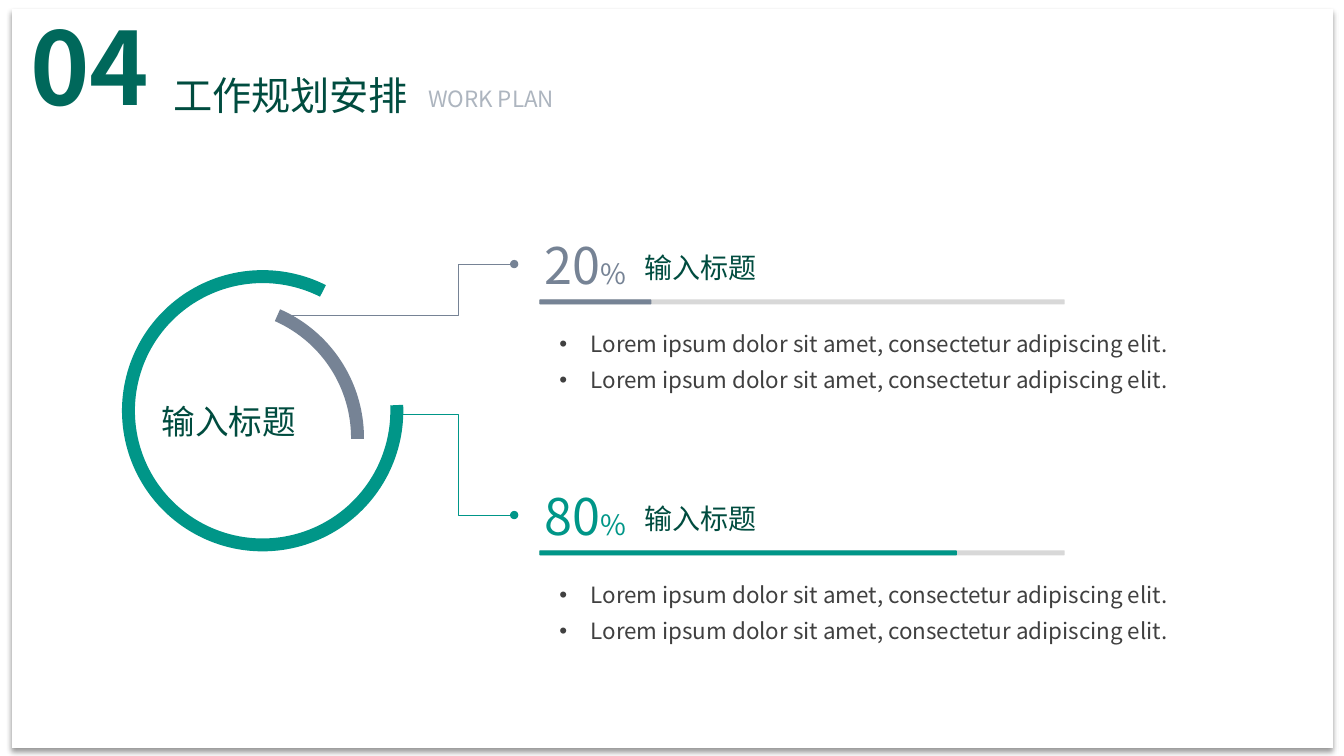
from lxml import etree
from pptx import Presentation
from pptx.dml.color import RGBColor
from pptx.enum.shapes import MSO_CONNECTOR, MSO_SHAPE
from pptx.enum.text import MSO_AUTO_SIZE, PP_ALIGN
from pptx.oxml.ns import qn
from pptx.util import Inches, Pt

RECTANGLE, BAR, ARC = MSO_SHAPE.RECTANGLE, MSO_SHAPE.ROUNDED_RECTANGLE, MSO_SHAPE.BLOCK_ARC
ELBOW = MSO_CONNECTOR.ELBOW
LEFT, CENTER = PP_ALIGN.LEFT, PP_ALIGN.CENTER
FIT_TEXT = MSO_AUTO_SIZE.SHAPE_TO_FIT_TEXT

FONT = "Noto Sans CJK SC"
GREEN, GRAY, DARK_GREEN = "009688", "768395", "004C3F"
CAPTION = "输入标题"
BULLET_TEXT = "Lorem ipsum dolor sit amet, consectetur adipiscing elit."

# Rows of the plan: percentage, colour, length of the filled bar
PLANS = [("20", GRAY, 1.11), ("80", GREEN, 4.14)]
ROW_TOP, ROW_PITCH = 2.27, 2.49
BAR_LEFT, BAR_WIDTH, BAR_HEIGHT = 5.35, 5.21, 0.05
ARC_SIZE, ARC_THICKNESS = 2.79, 0.046

presentation = Presentation()
presentation.slide_width, presentation.slide_height = Inches(13.33), Inches(7.5)
slide = presentation.slides.add_slide(presentation.slide_layouts[6])


def color(value):
    return RGBColor.from_string(value)


def add_text(box, paragraphs, alignment=LEFT, bold=False):
    """Add a text box; each paragraph is a list of (text, size, colour) runs."""
    shape = slide.shapes.add_textbox(*map(Inches, box))
    frame = shape.text_frame
    frame.word_wrap = True
    frame.auto_size = FIT_TEXT
    for index, runs in enumerate(paragraphs):
        paragraph = frame.add_paragraph() if index else frame.paragraphs[0]
        paragraph.alignment = alignment
        for text, size, value in runs:
            run = paragraph.add_run()
            run.text = text
            for name, setting in {"name": FONT, "size": Pt(size), "bold": bold}.items():
                setattr(run.font, name, setting)
            run.font.color.rgb = color(value)
            etree.SubElement(run._r.get_or_add_rPr(), qn("a:ea"), typeface=FONT)
    return frame


# Filled shapes: kind, box, fill, rotation, adjustments
filled_shapes = [
    (RECTANGLE, (0.12, 0.09, 13.1, 7.33), "FFFFFF", 0, ()),
    (ARC, (1.21, 2.68, ARC_SIZE, ARC_SIZE), GREEN, 299.2, (35.03, 214.5, ARC_THICKNESS)),
    (ARC, (0.82, 2.95, ARC_SIZE, ARC_SIZE), GRAY, 2.9, (174.54, 214.5, ARC_THICKNESS)),
]
for row, (percent, accent, length) in enumerate(PLANS):
    bar_top = ROW_TOP + row * ROW_PITCH + 0.7
    for width, fill in [(BAR_WIDTH, "D8D8D8"), (length, accent)]:
        filled_shapes.append((BAR, (BAR_LEFT, bar_top, width, BAR_HEIGHT), fill, 0, ()))

for kind, box, fill, rotation, adjustments in filled_shapes:
    shape = slide.shapes.add_shape(kind, *map(Inches, box))
    shape.shadow.inherit = False
    shape.fill.solid()
    shape.fill.fore_color.rgb = color(fill)
    shape.line.fill.background()
    shape.rotation = rotation
    for index, adjustment in enumerate(adjustments):
        shape.adjustments[index] = adjustment

# Soft shadow under the page card
card = slide.shapes[0]
shadow = etree.SubElement(
    card._element.spPr.find(qn("a:effectLst")), qn("a:outerShdw"),
    blurRad=str(Pt(4)), dist=str(Pt(3)), dir="5400000", algn="t", rotWithShape="0")
shadow_color = etree.SubElement(shadow, qn("a:srgbClr"), val="000000")
etree.SubElement(shadow_color, qn("a:alpha"), val="40000")

# Elbow lines from the arcs to the rows: start, end, bend position, colour
for start, end, bend_x, line_color in [
    ((2.76, 3.13), (5.1, 2.62), 4.55, GRAY),
    ((3.94, 4.11), (5.1, 5.11), 4.55, GREEN),
]:
    connector = slide.shapes.add_connector(ELBOW, *map(Inches, start + end))
    connector.line.width = Pt(0.5)
    connector.line.color.rgb = color(line_color)
    properties = connector._element.spPr
    etree.SubElement(properties.find(qn("a:ln")), qn("a:tailEnd"), type="oval")
    etree.SubElement(properties, qn("a:effectLst"))
    guides = properties.find(qn("a:prstGeom")).find(qn("a:avLst"))
    bend = round((bend_x - start[0]) / (end[0] - start[0]) * 100000)
    etree.SubElement(guides, qn("a:gd"), name="adj1", fmla=f"val {bend}")

for row, (percent, accent, length) in enumerate(PLANS):
    top = ROW_TOP + row * ROW_PITCH
    add_text((5.1, top, 1.41, 0.71), [[(percent, 36, accent), ("%", 20, accent)]], CENTER)
    add_text((6.29, top + 0.17, 2.24, 0.44), [[(CAPTION, 20, DARK_GREEN)]])
    details = add_text((5.45, top + 0.86, 7.18, 0.8), [[(BULLET_TEXT, 16, "404040")]] * 2)
    for paragraph in details.paragraphs:
        paragraph.line_spacing = Pt(26)
        paragraph_format = paragraph._p.get_or_add_pPr()
        paragraph_format.set("marL", str(Inches(0.31)))
        paragraph_format.set("indent", str(-Inches(0.31)))
        etree.SubElement(paragraph_format, qn("a:buFont"), typeface="Arial")
        etree.SubElement(paragraph_format, qn("a:buChar"), char="•")

add_text((1.15, 3.93, 2.24, 0.5), [[(CAPTION, 24, DARK_GREEN)]], CENTER)
add_text((0.2, 0, 1.61, 1.31), [[("04", 72, "00685B")]], bold=True)
add_text((1.62, 0.66, 2.56, 0.57), [[("工作规划安排", 28, DARK_GREEN)]])
add_text((4.15, 0.8, 3.36, 0.37), [[("WORK PLAN", 16, "ADB5BF")]])

presentation.save("out.pptx")
